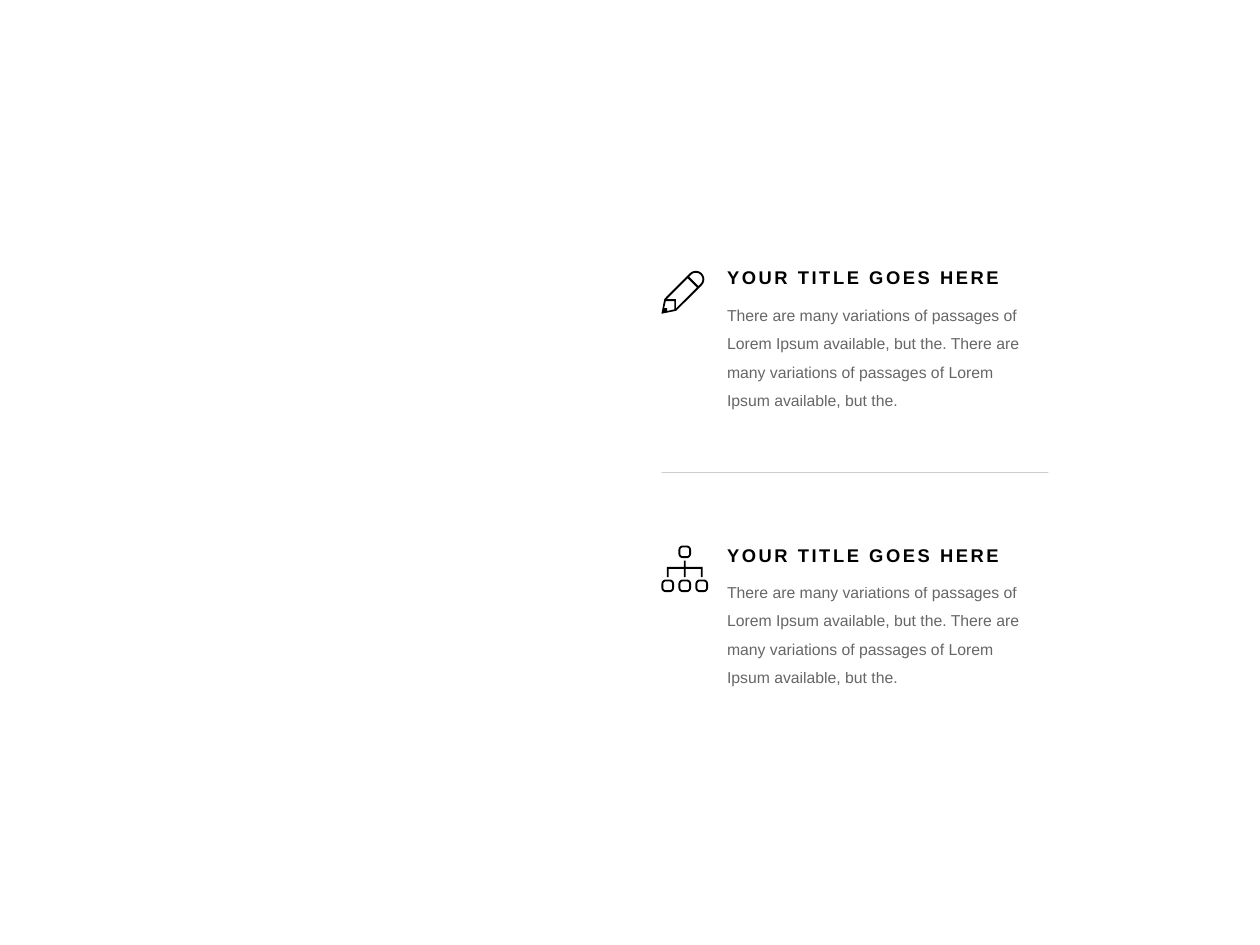
from math import cos, sin, radians
from lxml.etree import SubElement
from pptx import Presentation as Deck
from pptx.dml.color import RGBColor as RGB
from pptx.enum.shapes import MSO_CONNECTOR as Link
from pptx.enum.text import MSO_AUTO_SIZE as Size
from pptx.oxml.ns import qn
from pptx.util import Inches, Pt

BLACK = RGB(0, 0, 0)
TITLE = "YOUR TITLE GOES HERE"
BODY = " ".join(["There are many variations of passages of Lorem Ipsum available, but the."] * 2)
HEAD = {"size": Pt(10.5), "bold": True}
TEXT = {"size": Pt(9), "bold": False}
LEFT, TOP, STEP = 5.25, 2.15, 2.2


def arc(x, y, r, start, sweep):
    return [(x + r * cos(radians(start + a)), y + r * sin(radians(start + a)))
            for a in range(0, sweep + 1, 15)]


def ring(x, y, half, r):
    d = half - r
    signs = [(1, 1), (-1, 1), (-1, -1), (1, -1)]
    return [p for i, (h, v) in enumerate(signs)
            for p in arc(x + h * d, y + v * d, r, 90 * i, 90)]


def pencil():
    x, y = 27.3, 6.7
    return [
        arc(x, y, 6.7, -135, 180) + [(11.7, 31.7), (0, 34), (2.3, 22.3)],
        arc(x, y, 5.2, -135, 180) + [(29.3, 12.1), (21.9, 4.7)],
        [(20.8, 5.8), (28.2, 13.2), (11.5, 29.9), (11.5, 22.5), (4.1, 22.5)],
        [(10.2, 24), (10.2, 30.6), (4.5, 31.9), (4.5, 29.5), (2.2, 29.5), (3.5, 24)],
    ]


def chart():
    mid, gap, t = 18.5, 13.5, 0.75
    spots = [(mid, 5)] + [(mid + gap * i, 32) for i in (-1, 0, 1)]
    boxes = [ring(x, y, half, r) for x, y in spots for half, r in ((5, 3.5), (3.5, 2))]
    a, b = mid - gap, mid + gap
    tree = [(a - t, 17), (mid - t, 17), (mid - t, 12), (mid + t, 12), (mid + t, 17),
            (b + t, 17), (b + t, 25), (b - t, 25), (b - t, 18.5), (mid + t, 18.5),
            (mid + t, 25), (mid - t, 25), (mid - t, 18.5), (a + t, 18.5),
            (a + t, 25), (a - t, 25)]
    return boxes + [tree]


class Page:
    """Holds the font, the ink and the slide being built."""

    def __init__(self, slide, font="Arial", ink=BLACK):
        self.shapes, self.font, self.ink = slide.shapes, font, ink

    def fade(self, fill, part):
        tint = fill._xPr.find(qn("a:solidFill"))[0]
        SubElement(tint, qn("a:alpha"), val=str(part * 1000))

    def text(self, words, x, y, w, h, form, gap, right=0, track=0, part=100):
        box = self.shapes.add_textbox(*map(Inches, (x, y, w, h)))
        frame = box.text_frame
        look = {"margin_left": 0, "margin_top": 0, "margin_bottom": 0,
                "margin_right": Inches(right), "word_wrap": True,
                "auto_size": Size.SHAPE_TO_FIT_TEXT}
        for key, val in look.items():
            setattr(frame, key, val)
        para = frame.paragraphs[0]
        para.line_spacing = gap
        run = para.add_run()
        run.text = words
        for key, val in {"name": self.font, **form}.items():
            setattr(run.font, key, val)
        run.font.color.rgb = self.ink
        if track:
            run._r.get_or_add_rPr().set("spc", str(track))
        if part < 100:
            self.fade(run.font.fill, part)

    def icon(self, x, y, loops):
        pts = [[(Inches(x + u / 100), Inches(y + v / 100)) for u, v in loop] for loop in loops]
        pen = self.shapes.build_freeform(*pts[0][0])
        for i, loop in enumerate(pts):
            if i:
                pen.move_to(*loop[0])
            pen.add_line_segments(loop[1:], close=True)
        shape = pen.convert_to_shape()
        shape.shadow.inherit = False
        shape.fill.solid()
        shape.fill.fore_color.rgb = self.ink
        shape.line.fill.background()

    def rule(self, x, y, end, part):
        line = self.shapes.add_connector(Link.STRAIGHT, *map(Inches, (x, y, end, y)))
        line.line.width = Pt(0.5)
        line.line.color.rgb = self.ink
        self.fade(line.line.fill, part)
        SubElement(line._element.spPr, qn("a:effectLst"))


def main():
    deck = Deck()
    deck.slide_width, deck.slide_height = Inches(10), Inches(7.5)
    page = Page(deck.slides.add_slide(deck.slide_layouts[6]))
    for i, loops in enumerate((pencil(), chart())):
        y = TOP + STEP * i
        page.icon(LEFT, y - 0.02 * i, loops)
        page.text(TITLE, 5.77, y, 2.55, 0.14, HEAD, 0.8, track=150)
        page.text(BODY, 5.77, y + 0.2, 2.55, 0.88, TEXT, 1.5, right=0.07, part=60)
    page.rule(LEFT, 3.75, 8.32, 20)
    deck.save("out.pptx")


if __name__ == "__main__":
    main()
